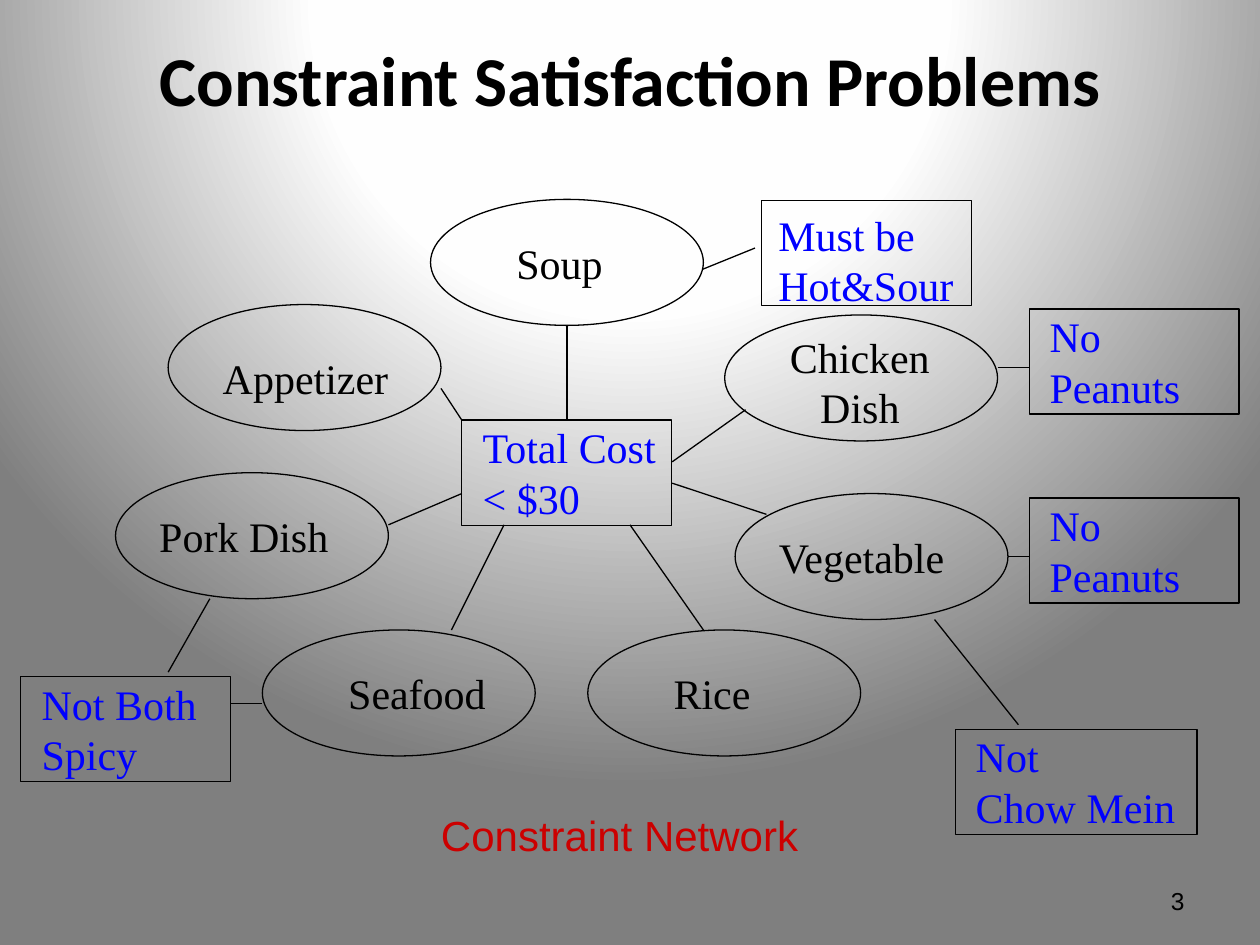
from lxml import etree
from pptx import Presentation
from pptx.dml.color import RGBColor
from pptx.enum.shapes import MSO_CONNECTOR, MSO_SHAPE
from pptx.enum.text import MSO_ANCHOR, MSO_AUTO_SIZE, PP_ALIGN
from pptx.oxml import parse_xml
from pptx.oxml.ns import qn
from pptx.util import Cm, Pt

OVAL, RECT = MSO_SHAPE.OVAL, MSO_SHAPE.RECTANGLE
STRAIGHT = MSO_CONNECTOR.STRAIGHT
MIDDLE = MSO_ANCHOR.MIDDLE
FIT = MSO_AUTO_SIZE.SHAPE_TO_FIT_TEXT
LEFT, CENTER, RIGHT = PP_ALIGN.LEFT, PP_ALIGN.CENTER, PP_ALIGN.RIGHT
COLORS = {"black": "000000", "blue": "0000FF", "red": "CC0000",
          "white": "FFFFFF", "near_white": "FEFEFE", "gray": "7F7F7F"}
SERIF = "Times New Roman"


def write(tf, text, size, font, color, align=LEFT, bold=False):
    tf.text = text
    for p in tf.paragraphs:
        p.alignment = align
        for r in p.runs:
            r.font.size = Pt(size)
            r.font.name = font
            r.font.bold = bold
            r.font.color.rgb = RGBColor.from_string(COLORS[color])


def add_label(text, x, y, w, h, font, color, align=LEFT):
    tf = s.shapes.add_textbox(Cm(x), Cm(y), Cm(w), Cm(h)).text_frame
    write(tf, text, 24, font, color, align)
    tf.word_wrap = False
    tf.auto_size = FIT


prs = Presentation()
prs.slide_width, prs.slide_height = Cm(25.4), Cm(19.05)
s = prs.slides.add_slide(prs.slide_layouts[5])

# Background: circular gradient centred above the slide
s.background.fill.solid()
bg_pr = s.background.fill._xPr
stops = "".join(
    f'<a:gs pos="{pos}"><a:srgbClr val="{COLORS[name]}"/></a:gs>'
    for pos, name in ((0, "white"), (40000, "near_white"), (100000, "gray")))
gradient = parse_xml(
    '<a:gradFill xmlns:a="http://schemas.openxmlformats.org/drawingml/2006/main"'
    f' rotWithShape="1"><a:gsLst>{stops}</a:gsLst><a:path path="circle">'
    '<a:fillToRect l="50000" t="-80000" r="50000" b="180000"/></a:path></a:gradFill>')
bg_pr.replace(bg_pr.find(qn("a:solidFill")), gradient)

# Title
title = s.shapes.title
title.left, title.top, title.width, title.height = Cm(1.27), Cm(0), Cm(22.86), Cm(3.18)
write(title.text_frame, "Constraint Satisfaction Problems", 40, "Calibri", "black", CENTER, True)
title.text_frame.vertical_anchor = MIDDLE

# Nodes: shape, text, left, top, width, label offset x, y, label width
variables = [
    (OVAL, "Soup", 8.68, 4.02, 5.5, 1.48, 0.64, 2.26),
    (OVAL, "Chicken\nDish", 14.61, 6.35, 5.5, 1.06, 0.21, 3.33),
    (OVAL, "Vegetable", 14.82, 9.95, 5.5, 0.63, 0.64, 3.94),
    (OVAL, "Rice", 11.85, 12.7, 5.5, 1.48, 0.64, 2.06),
    (OVAL, "Seafood", 5.29, 12.7, 5.5, 1.48, 0.64, 3.28),
    (OVAL, "Pork Dish", 2.33, 9.53, 5.5, 0.63, 0.64, 3.94),
    (OVAL, "Appetizer", 3.39, 6.14, 5.5, 0.85, 0.85, 3.84),
]
constraints = [
    (RECT, "Total Cost\n< $30", 9.31, 8.47, 4.23, 0.17, -0.09, 4.15),
    (RECT, "Must be\nHot&Sour", 15.35, 4.04, 4.23, 0.09, 0.05, 4.15),
    (RECT, "No\nPeanuts", 20.75, 6.23, 4.23, 0.16, -0.09, 3.25),
    (RECT, "No\nPeanuts", 20.75, 10.04, 4.23, 0.16, -0.09, 3.25),
    (RECT, "Not\nChow Mein", 19.26, 14.7, 4.87, 0.16, -0.09, 4.8),
    (RECT, "Not Both\nSpicy", 0.42, 13.64, 4.23, 0.17, -0.09, 3.75),
]
for kind, text, x, y, w, dx, dy, label_w in variables + constraints:
    is_variable = kind == OVAL
    sp = s.shapes.add_shape(kind, Cm(x), Cm(y), Cm(w), Cm(2.54 if is_variable else 2.12))
    sp.shadow.inherit = False
    sp.fill.background()
    sp.line.color.rgb = RGBColor.from_string(COLORS["black"])
    sp.line.width = Pt(0.75)
    add_label(text, x + dx, y + dy, label_w, 2.29 if "\n" in text else 1.27, SERIF,
              "black" if is_variable else "blue",
              CENTER if is_variable and "\n" in text else LEFT)

# Links between variables and constraints: x1, y1, x2, y2
links = [
    (3.39, 13.55, 4.23, 12.07),
    (4.66, 14.18, 5.29, 14.18),
    (7.83, 10.58, 9.31, 9.95),
    (9.1, 12.7, 10.16, 10.58),
    (8.89, 7.83, 9.31, 8.47),
    (11.43, 6.56, 11.43, 8.47),
    (14.18, 12.7, 12.7, 10.58),
    (15.45, 10.37, 13.55, 9.74),
    (15.03, 8.26, 13.55, 9.31),
    (14.16, 5.43, 15.22, 5.0),
    (20.11, 7.41, 20.74, 7.41),
    (20.32, 11.22, 20.74, 11.22),
    (18.84, 12.49, 20.53, 14.61),
]
for link in links:
    cn = s.shapes.add_connector(STRAIGHT, *(Cm(v) for v in link))
    cn.line.color.rgb = RGBColor.from_string(COLORS["black"])
    cn.line.width = Pt(0.75)
    etree.SubElement(cn._element.spPr, qn("a:effectLst"))

# Caption and slide number
add_label("Constraint Network", 8.64, 16.2, 7.72, 1.27, "Arial", "red")
number = s.shapes.add_textbox(Cm(18.21), Cm(17.65), Cm(5.92), Cm(1.02)).text_frame
number.word_wrap = True
number.vertical_anchor = MIDDLE
write(number, "3", 14, "Arial", "black", RIGHT)

prs.save("out.pptx")
